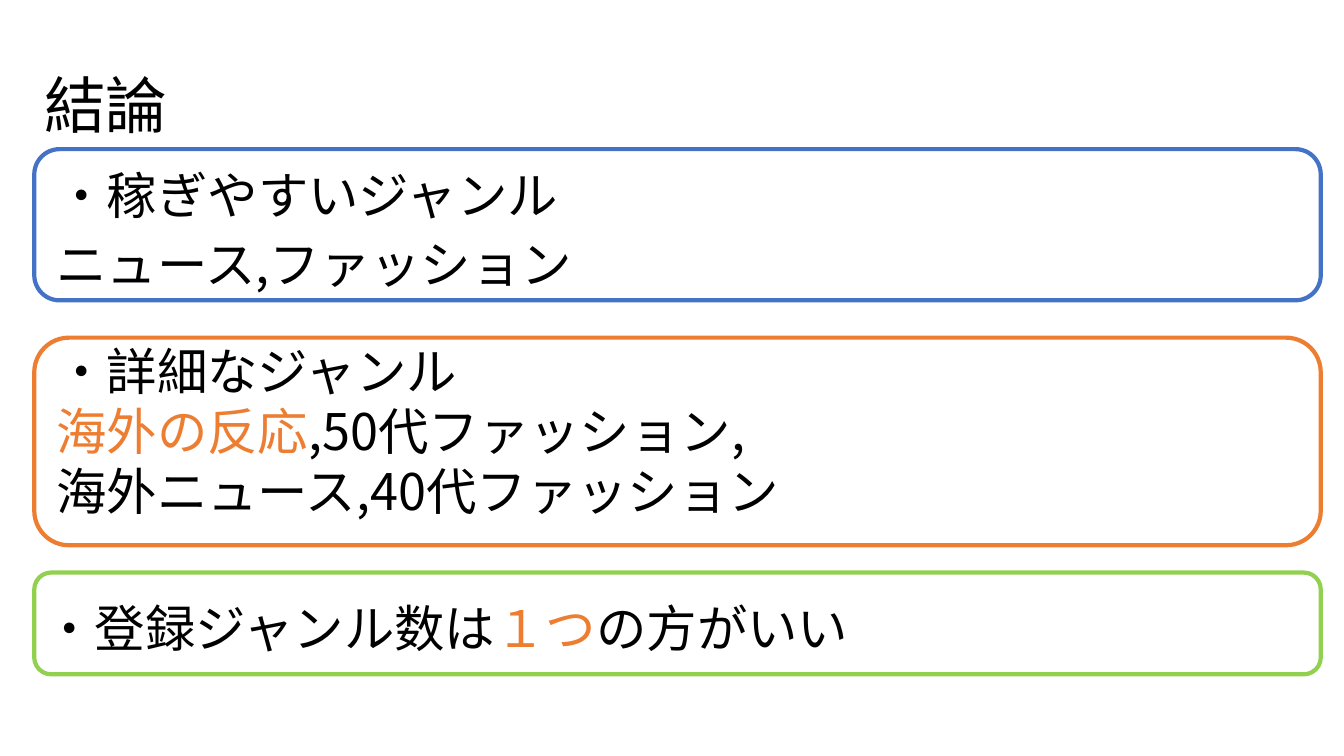
"""Build the conclusion slide: a title and three framed genre notes."""
from dataclasses import dataclass

from lxml import etree
from pptx import Presentation
from pptx.dml.color import RGBColor
from pptx.enum.shapes import MSO_SHAPE
from pptx.enum.text import MSO_ANCHOR, MSO_AUTO_SIZE, PP_ALIGN
from pptx.oxml.ns import qn
from pptx.util import Inches, Pt

ROUNDED = MSO_SHAPE.ROUNDED_RECTANGLE
TOP, MIDDLE = MSO_ANCHOR.TOP, MSO_ANCHOR.MIDDLE
NO_FIT = MSO_AUTO_SIZE.NONE
GROW = MSO_AUTO_SIZE.SHAPE_TO_FIT_TEXT
LEFT = PP_ALIGN.LEFT

FONT = "Noto Sans CJK JP"
BLACK, BLUE, ORANGE, GREEN = "000000", "4472C4", "ED7D31", "92D050"
FRAME_LEFT, FRAME_WIDTH = 0.34, 12.76
TEXT_WIDTH = 11.5

Line = list[tuple[str, str]]


@dataclass
class Frame:
    """A rounded outline around one note."""
    top: float
    height: float
    color: str


@dataclass
class Note:
    """A text box of lines, each made of text and colour pairs."""
    left: float
    top: float
    height: float
    lines: list[Line]


TITLE: list[Line] = [[("結論", BLACK)]]
EASY_GENRES: list[Line] = [
    [("・稼ぎやすいジャンル", BLACK)],
    [("ニュース,ファッション", BLACK)],
]
NOTES = [
    Note(0.46, 3.32, 1.92, [
        [("・詳細なジャンル", BLACK)],
        [("海外の反応", ORANGE), (",50代ファッション,", BLACK)],
        [("海外ニュース,40代ファッション", BLACK)],
    ]),
    Note(0.34, 5.87, 0.71, [
        [("・登録ジャンル数は", BLACK), ("１つ", ORANGE), ("の方がいい", BLACK)],
    ]),
]
FRAMES = [
    Frame(1.48, 1.5, BLUE),
    Frame(3.35, 2.06, ORANGE),
    Frame(5.68, 1.01, GREEN),
]


def rgb(color: str) -> RGBColor:
    """Turn a hex string into a colour."""
    return RGBColor.from_string(color)


def place(sp, left: float, top: float, width: float, height: float) -> None:
    """Move and size a shape in inches."""
    sp.left, sp.top = Inches(left), Inches(top)
    sp.width, sp.height = Inches(width), Inches(height)


def write(sp, lines: list[Line], size: int = 36, spacing: float = 1.0,
          before: int = 0, anchor=TOP, fit=NO_FIT) -> None:
    """Fill a shape with unbulleted, left-aligned lines."""
    tf = sp.text_frame
    tf.word_wrap, tf.auto_size, tf.vertical_anchor = True, fit, anchor
    for i, line in enumerate(lines):
        p = tf.paragraphs[0] if i == 0 else tf.add_paragraph()
        p.alignment, p.line_spacing, p.space_before = LEFT, spacing, Pt(before)
        pPr = p._p.get_or_add_pPr()
        pPr.set("marL", "0")
        pPr.set("indent", "0")
        etree.SubElement(pPr, qn("a:buNone"))
        for text, color in line:
            r = p.add_run()
            r.text = text
            r.font.size, r.font.name = Pt(size), FONT
            r.font.color.rgb = rgb(color)
            ea = etree.SubElement(r._r.get_or_add_rPr(), qn("a:ea"))
            ea.set("typeface", FONT)


def add_note(s, note: Note) -> None:
    """Add a text box for a note."""
    sp = s.shapes.add_textbox(Inches(note.left), Inches(note.top),
                              Inches(TEXT_WIDTH), Inches(note.height))
    write(sp, note.lines, fit=GROW)


def add_frame(s, frame: Frame) -> None:
    """Add an unfilled rounded outline."""
    sp = s.shapes.add_shape(ROUNDED, Inches(FRAME_LEFT), Inches(frame.top),
                            Inches(FRAME_WIDTH), Inches(frame.height))
    sp.shadow.inherit = False
    sp.fill.background()
    sp.line.color.rgb = rgb(frame.color)
    sp.line.width = Pt(3)


def main() -> None:
    """Build and save the slide."""
    prs = Presentation()
    prs.slide_width, prs.slide_height = Inches(13.33), Inches(7.5)
    s = prs.slides.add_slide(prs.slide_layouts[1])
    title, body = s.shapes.title, s.placeholders[1]
    place(title, 0.34, 0.35, TEXT_WIDTH, 1.45)
    write(title, TITLE, size=44, spacing=0.9, anchor=MIDDLE)
    place(body, 0.46, 1.65, TEXT_WIDTH, 1.45)
    write(body, EASY_GENRES, spacing=0.9, before=10)
    for note in NOTES:
        add_note(s, note)
    for frame in FRAMES:
        add_frame(s, frame)
    prs.save("out.pptx")


if __name__ == "__main__":
    main()
